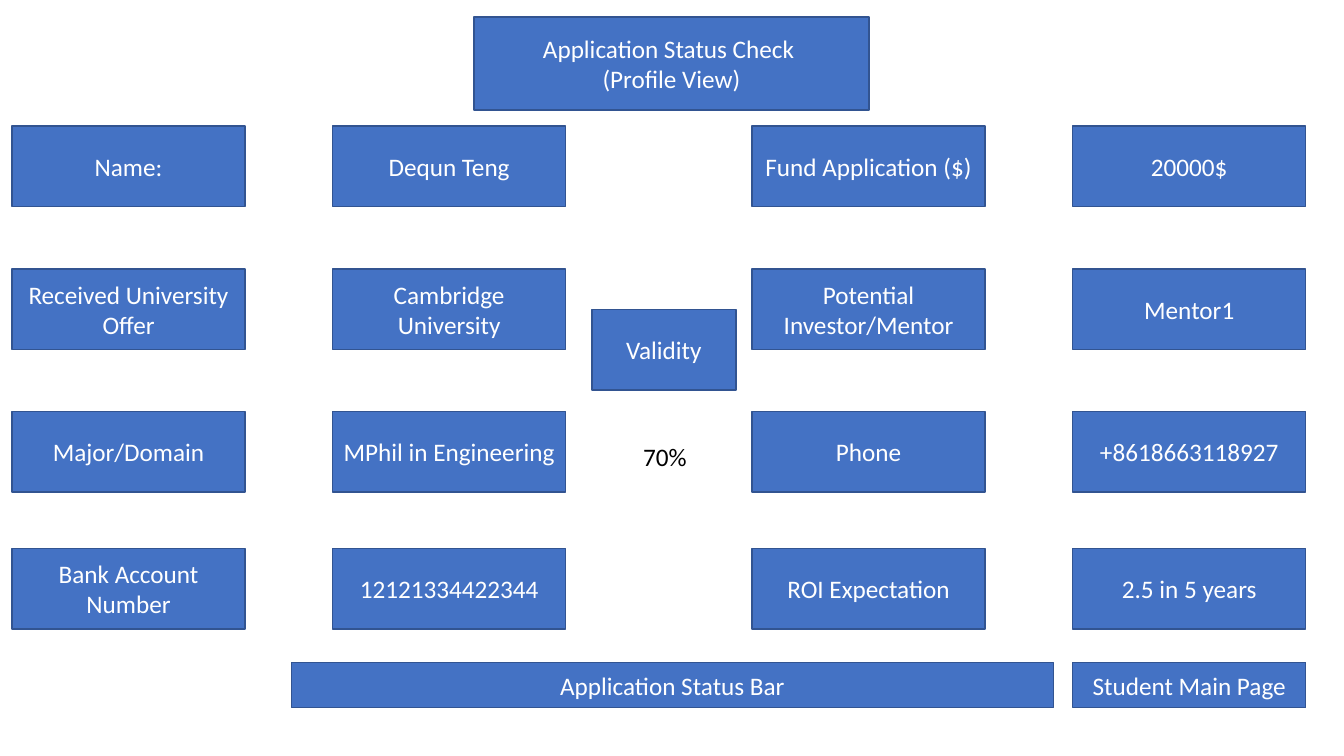
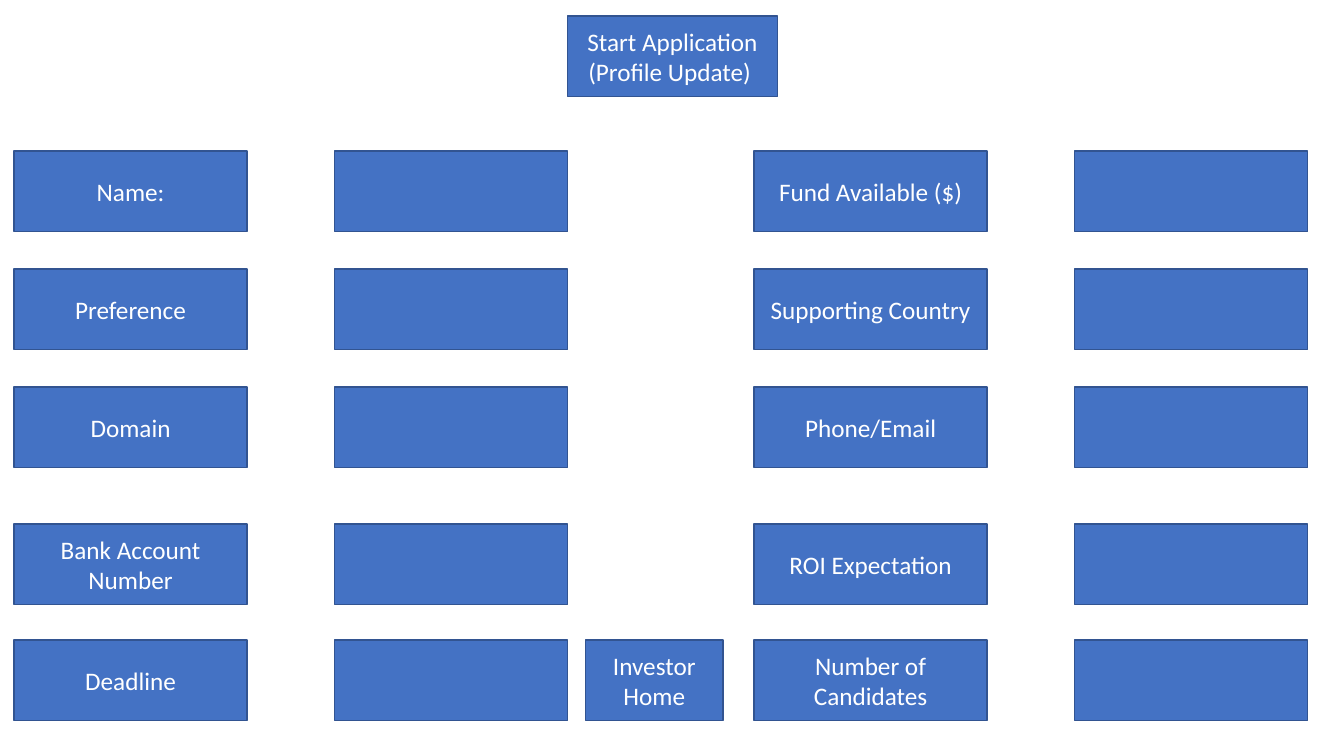
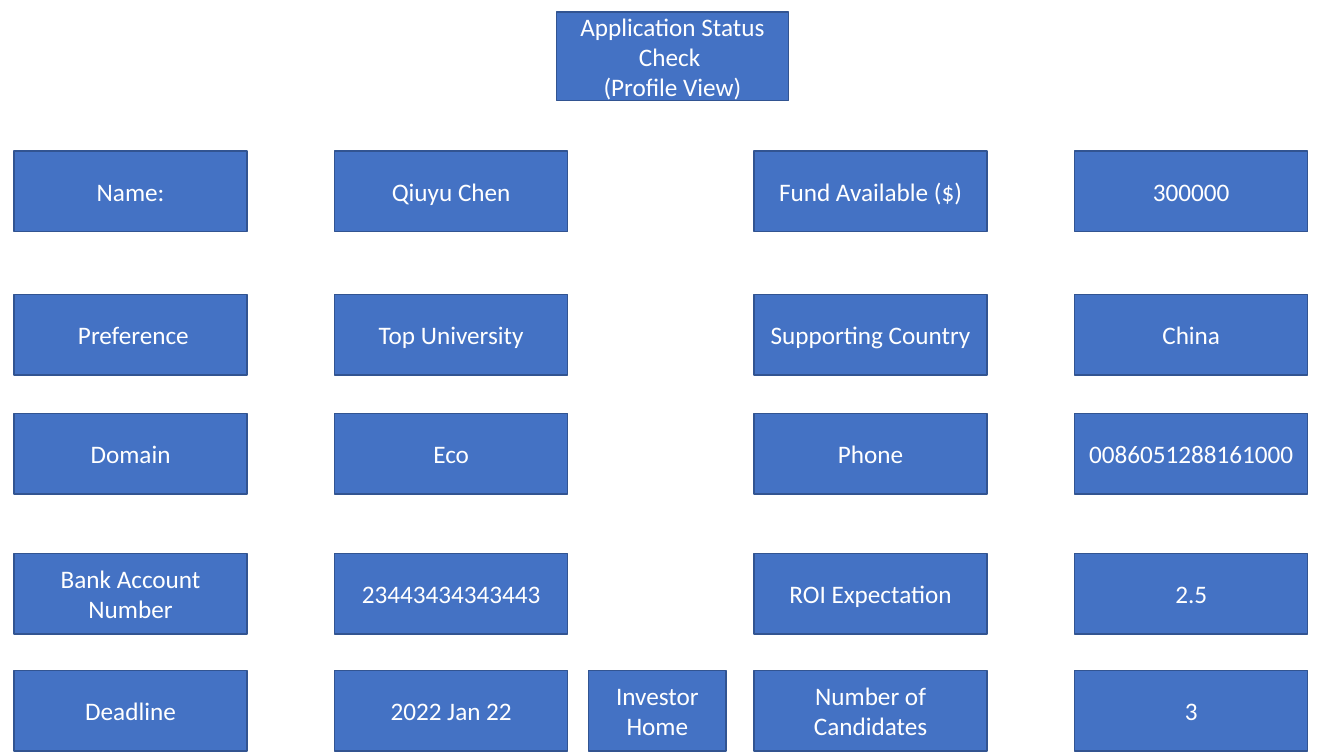
from pptx import Presentation
from pptx.dml.color import RGBColor
from pptx.enum.shapes import MSO_SHAPE
from pptx.enum.text import MSO_ANCHOR, MSO_AUTO_SIZE, PP_ALIGN
from pptx.util import Inches, Pt

RECT = MSO_SHAPE.RECTANGLE
BUTTON = MSO_SHAPE.ACTION_BUTTON_CUSTOM
CENTER, LEFT = PP_ALIGN.CENTER, PP_ALIGN.LEFT
MIDDLE = MSO_ANCHOR.MIDDLE
NO_FIT, GROW = MSO_AUTO_SIZE.NONE, MSO_AUTO_SIZE.SHAPE_TO_FIT_TEXT
TITLE_ONLY = 5

COLORS = {"fill": "4472C4", "line": "325491", "light": "FFFFFF", "dark": "000000"}
FONT = {"name": "Calibri", "size": Pt(18), "bold": False}
COLUMN_OFFSETS = (0, 3.18, 7.34, 10.52)
FIELD_W, FIELD_H = 2.31, 0.8

SLIDES = [
    {
        "title": ("Application Status Check \n(Profile View)", (4.7, 0.17, 3.92, 0.92)),
        "left": 0.12,
        "tops": (1.25, 2.67, 4.08, 5.44),
        "fields": [
            ("Name:", "Dequn Teng", "Fund Application ($)", "20000$"),
            ("Received University Offer", "Cambridge University",
             "Potential Investor/Mentor", "Mentor1"),
            ("Major/Domain", "MPhil in Engineering", "Phone", "+8618663118927"),
            ("Bank Account Number", "12121334422344", "ROI Expectation", "2.5 in 5 years"),
        ],
        "extras": [
            (RECT, "Application Status Bar", (2.89, 6.57, 7.56, 0.45)),
            (RECT, "Validity", (5.87, 3.07, 1.43, 0.8)),
            (BUTTON, "Student Main Page", (10.64, 6.57, 2.31, 0.45)),
        ],
        "notes": [("70%", (6.28, 4.33, 0.64, 0.4))],
    },
    {
        "title": ("Start Application\n(Profile Update) ", (5.63, 0.16, 2.08, 0.8)),
        "left": 0.14,
        "tops": (1.5, 2.67, 3.84, 5.2, 6.35),
        "fields": [
            ("Name:", "", "Fund Available ($)", ""),
            ("Preference", "", "Supporting Country", ""),
            ("Domain", "", "Phone/Email", ""),
            ("Bank Account Number", "", "ROI Expectation", ""),
            ("Deadline", "", "Number of Candidates", ""),
        ],
        "extras": [(BUTTON, "Investor Home", (5.81, 6.35, 1.36, 0.8))],
        "notes": [],
    },
    {
        "title": ("Application Status Check \n(Profile View)", (5.52, 0.12, 2.3, 0.88)),
        "left": 0.14,
        "tops": (1.5, 2.92, 4.1, 5.49, 6.65),
        "fields": [
            ("Name:", "Qiuyu Chen", "Fund Available ($)", "300000"),
            (" Preference", "Top University", "Supporting Country", "China"),
            ("Domain", "Eco", "Phone", "0086051288161000"),
            ("Bank Account Number", "23443434343443", "ROI Expectation", "2.5"),
            ("Deadline", "2022 Jan 22", "Number of Candidates", "3"),
        ],
        "extras": [(BUTTON, "Investor Home", (5.84, 6.65, 1.36, 0.8))],
        "notes": [],
    },
]


def rgb(name):
    return RGBColor.from_string(COLORS[name])


def write(tf, text, color, align):
    tf.text = text
    for p in tf.paragraphs:
        p.alignment = align
        for key, value in FONT.items():
            setattr(p.font, key, value)
        p.font.color.rgb = rgb(color)


def style_box(sp, text):
    sp.fill.solid()
    sp.fill.fore_color.rgb = rgb("fill")
    sp.line.color.rgb = rgb("line")
    sp.line.width = Pt(1)
    sp.shadow.inherit = False
    tf = sp.text_frame
    for key, value in {"word_wrap": True, "auto_size": NO_FIT,
                       "vertical_anchor": MIDDLE}.items():
        setattr(tf, key, value)
    write(tf, text, "light", CENTER)


def add_title(s, text, box):
    sp = s.shapes.title
    for key, value in zip(("left", "top", "width", "height"), box):
        setattr(sp, key, Inches(value))
    style_box(sp, text)


def add_box(s, kind, text, box):
    style_box(s.shapes.add_shape(kind, *map(Inches, box)), text)


def add_note(s, text, box):
    tf = s.shapes.add_textbox(*map(Inches, box)).text_frame
    tf.word_wrap = False
    tf.auto_size = GROW
    write(tf, text, "dark", LEFT)


def build_slide(prs, data):
    s = prs.slides.add_slide(prs.slide_layouts[TITLE_ONLY])
    add_title(s, *data["title"])
    for top, row in zip(data["tops"], data["fields"]):
        for offset, text in zip(COLUMN_OFFSETS, row):
            add_box(s, RECT, text, (data["left"] + offset, top, FIELD_W, FIELD_H))
    for extra in data["extras"]:
        add_box(s, *extra)
    for note in data["notes"]:
        add_note(s, *note)


def main():
    prs = Presentation()
    prs.slide_width, prs.slide_height = Inches(13.33), Inches(7.5)
    for data in SLIDES:
        build_slide(prs, data)
    prs.save("out.pptx")


if __name__ == "__main__":
    main()
